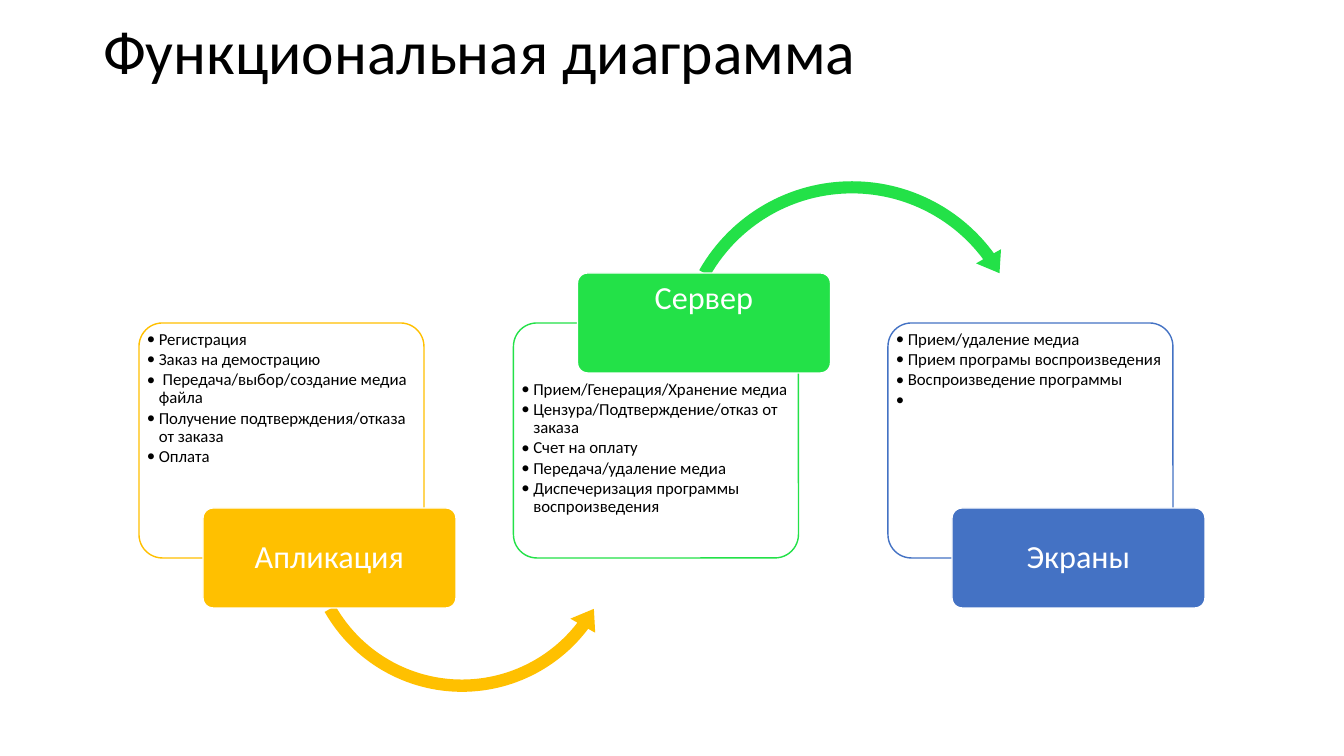
from pptx import Presentation
from pptx.dml.color import RGBColor
from pptx.enum.shapes import MSO_SHAPE
from pptx.enum.text import MSO_ANCHOR, PP_ALIGN
from pptx.oxml.ns import qn
from pptx.util import Emu, Pt
from lxml.etree import SubElement

# Content: label, colour name, label on the top edge?, list
TITLE = "Функциональная диаграмма"
STAGES = [
    ("Апликация", "gold", False, [
        "Регистрация",
        "Заказ на демострацию",
        " Передача/выбор/создание медиа файла",
        "Получение подтверждения/отказа от заказа",
        "Оплата"]),
    ("Сервер", "green", True, [
        "Прием/Генерация/Хранение медиа",
        "Цензура/Подтверждение/отказ от заказа",
        "Счет на оплату",
        "Передача/удаление медиа",
        "Диспечеризация программы воспроизведения"]),
    ("Экраны", "blue", False, [
        "Прием/удаление медиа",
        "Прием програмы воспроизведения",
        "Воспроизведение программы",
        " "]),
]
# Arrow leaving each stage: preset, left, top, size, adjustments
ARROWS = [
    (MSO_SHAPE.LEFT_CIRCULAR_ARROW, 296, 368, 332,
     (0.037, 4.574, 22.329, 90.245, 0.043)),
    (MSO_SHAPE.CIRCULAR_ARROW, 668, 173, 368,
     (0.033, 4.086, 194.159, 125.755, 0.039)),
]


class Theme:
    font = "Calibri"
    head, label, item = 44, 23, 12
    black, white = "000000", "FFFFFF"
    gold, green, blue = "FFC000", "23E148", "4472C4"


# Layout in pixels
LEFT, TOP, STEP = 139, 323, 374.5
CARD_W, CARD_H = 285, 235
TAG_W, TAG_H, TAG_DX = 253, 100, 64


def px(n):
    return Emu(round(n * 914400 / 100.8))


def write(frame, lines, size, color, align=PP_ALIGN.LEFT,
          anchor=MSO_ANCHOR.MIDDLE, pad=None, bullet=False, after=0):
    frame.word_wrap = True
    frame.vertical_anchor = anchor
    if pad:
        (frame.margin_left, frame.margin_top,
         frame.margin_right, frame.margin_bottom) = map(px, pad)
    for i, line in enumerate(lines):
        para = frame.add_paragraph() if i else frame.paragraphs[0]
        para.alignment, para.line_spacing = align, 0.9
        para.space_before, para.space_after = Pt(0), Pt(after)
        run = para.add_run()
        run.text = line
        run.font.name, run.font.size = Theme.font, Pt(size)
        run.font.color.rgb = RGBColor.from_string(color)
        if bullet:
            props = para._p.get_or_add_pPr()
            props.set("marL", str(px(12)))
            props.set("indent", str(px(-12)))
            SubElement(props, qn("a:buFont"), typeface=Theme.font)
            SubElement(props, qn("a:buChar"), char="•")


def draw(kind, x, y, w, h, fill, line=None, adj=(), alpha=None):
    shape = slide.shapes.add_shape(kind, px(x), px(y), px(w), px(h))
    shape.shadow.inherit = False
    shape.fill.solid()
    shape.fill.fore_color.rgb = RGBColor.from_string(fill)
    if alpha:
        tint = shape.fill._xPr.find(qn("a:solidFill"))[0]
        SubElement(tint, qn("a:alpha"), val=str(alpha * 1000))
    if line:
        shape.line.color.rgb = RGBColor.from_string(line)
        shape.line.width = Pt(1)
    else:
        shape.line.fill.background()
    for i, value in enumerate(adj):
        shape.adjustments[i] = value
    return shape


deck = Presentation()
deck.slide_width, deck.slide_height = px(1344), px(756)
slide = deck.slides.add_slide(deck.slide_layouts[5])

# Title
title = slide.shapes.title
title.left, title.top, title.width, title.height = map(px, (93, -18, 1159, 146))
write(title.text_frame, [TITLE], Theme.head, Theme.black)

# Stages: card with list, arrow to the next one, label over the card's edge
for i, (name, hue, above, items) in enumerate(STAGES):
    color = getattr(Theme, hue)
    x = LEFT + i * STEP
    card = draw(MSO_SHAPE.ROUNDED_RECTANGLE, x, TOP, CARD_W, CARD_H,
                Theme.white, color, (0.1,), alpha=90)
    write(card.text_frame, items, Theme.item, Theme.black,
          anchor=MSO_ANCHOR.TOP, pad=(1, 51 if above else 1, 1, 1),
          bullet=True, after=1.5)

    if i < len(ARROWS):
        kind, ax, ay, size, adj = ARROWS[i]
        draw(kind, ax, ay, size, size, color, adj=adj)

    edge = TOP if above else TOP + CARD_H
    tag = draw(MSO_SHAPE.ROUNDED_RECTANGLE, x + TAG_DX, edge - TAG_H / 2,
               TAG_W, TAG_H, color, Theme.white, (0.1,))
    write(tag.text_frame, [name], Theme.label, Theme.white, PP_ALIGN.CENTER,
          MSO_ANCHOR.TOP if above else MSO_ANCHOR.MIDDLE,
          pad=(5, 6 if above else 3, 5, 3))

deck.save("out.pptx")
